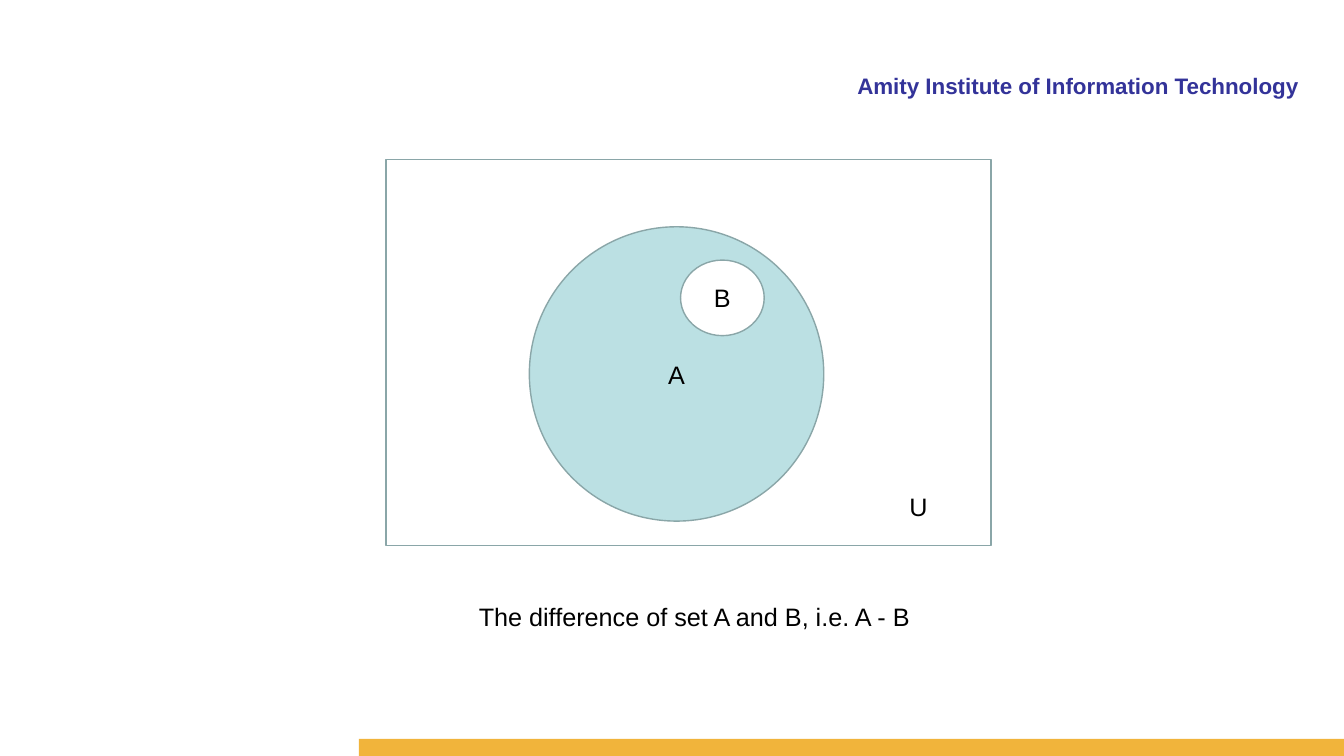
from dataclasses import dataclass
from typing import Optional

from pptx import Presentation
from pptx.dml.color import RGBColor
from pptx.enum.shapes import MSO_SHAPE as Shape
from pptx.enum.text import MSO_ANCHOR as Anchor, PP_ALIGN as Align
from pptx.slide import Slide
from pptx.text.text import TextFrame
from pptx.util import Inches, Pt


@dataclass(frozen=True)
class Theme:
    font: str = "Arial"
    ink: str = "000000"
    heading: str = "333399"
    band: str = "F1B43B"
    outline: str = "8AA6A8"
    set_fill: str = "BBE0E3"
    paper: str = "FFFFFF"
    heading_size: int = 16
    body_size: int = 18
    line_width: int = 1


@dataclass(frozen=True)
class Area:
    left: float
    top: float
    width: float
    height: float


@dataclass(frozen=True)
class Figure:
    kind: Shape
    area: Area
    fill: Optional[str] = None
    line: Optional[str] = None
    label: str = ""


@dataclass(frozen=True)
class Caption:
    text: str
    area: Area
    size: int
    color: str
    bold: bool = False
    align: Align = Align.LEFT
    wrap: bool = False


THEME = Theme()

FIGURES = [
    Figure(Shape.RECTANGLE, Area(3.56, 7.33, 9.78, 0.17), fill=THEME.band),
    Figure(Shape.RECTANGLE, Area(3.83, 1.58, 6, 3.83), line=THEME.outline),
    Figure(Shape.OVAL, Area(5.25, 2.25, 2.92, 2.92), THEME.set_fill, THEME.outline, "A"),
    Figure(Shape.OVAL, Area(6.75, 2.58, 0.83, 0.75), THEME.paper, THEME.outline, "B"),
]

CAPTIONS = [
    Caption("Amity Institute of Information Technology", Area(5.09, 0.67, 7.89, 0.33),
            THEME.heading_size, THEME.heading, bold=True, align=Align.RIGHT, wrap=True),
    Caption("U", Area(8.92, 4.83, 0.38, 0.4), THEME.body_size, THEME.ink),
    Caption("The difference of set A and B, i.e. A - B", Area(4.65, 5.92, 4.52, 0.4),
            THEME.body_size, THEME.ink),
]


def lengths(area: Area) -> list[Inches]:
    return [Inches(value) for value in (area.left, area.top, area.width, area.height)]


def write_text(frame: TextFrame, text: str, *, size: int = THEME.body_size,
               color: str = THEME.ink, bold: bool = False, align: Align = Align.LEFT,
               anchor: Anchor = Anchor.TOP, wrap: bool = True) -> None:
    frame.word_wrap = wrap
    frame.vertical_anchor = anchor
    para = frame.paragraphs[0]
    para.alignment = align
    span = para.add_run()
    span.text = text
    span.font.name = THEME.font
    span.font.size = Pt(size)
    span.font.bold = bold
    span.font.color.rgb = RGBColor.from_string(color)


def draw_figure(page: Slide, figure: Figure) -> None:
    shape = page.shapes.add_shape(figure.kind, *lengths(figure.area))
    shape.shadow.inherit = False
    if figure.fill:
        shape.fill.solid()
        shape.fill.fore_color.rgb = RGBColor.from_string(figure.fill)
    else:
        shape.fill.background()
    if figure.line:
        shape.line.color.rgb = RGBColor.from_string(figure.line)
        shape.line.width = Pt(THEME.line_width)
    else:
        shape.line.fill.background()
    if figure.label:
        write_text(shape.text_frame, figure.label, align=Align.CENTER, anchor=Anchor.MIDDLE)


def draw_caption(page: Slide, caption: Caption) -> None:
    box = page.shapes.add_textbox(*lengths(caption.area))
    write_text(box.text_frame, caption.text, size=caption.size, color=caption.color,
               bold=caption.bold, align=caption.align, wrap=caption.wrap)


def main() -> None:
    deck = Presentation()
    deck.slide_width, deck.slide_height = Inches(13.33), Inches(7.5)
    page = deck.slides.add_slide(deck.slide_layouts[6])
    for figure in FIGURES:
        draw_figure(page, figure)
    for caption in CAPTIONS:
        draw_caption(page, caption)
    deck.save("out.pptx")


if __name__ == "__main__":
    main()
